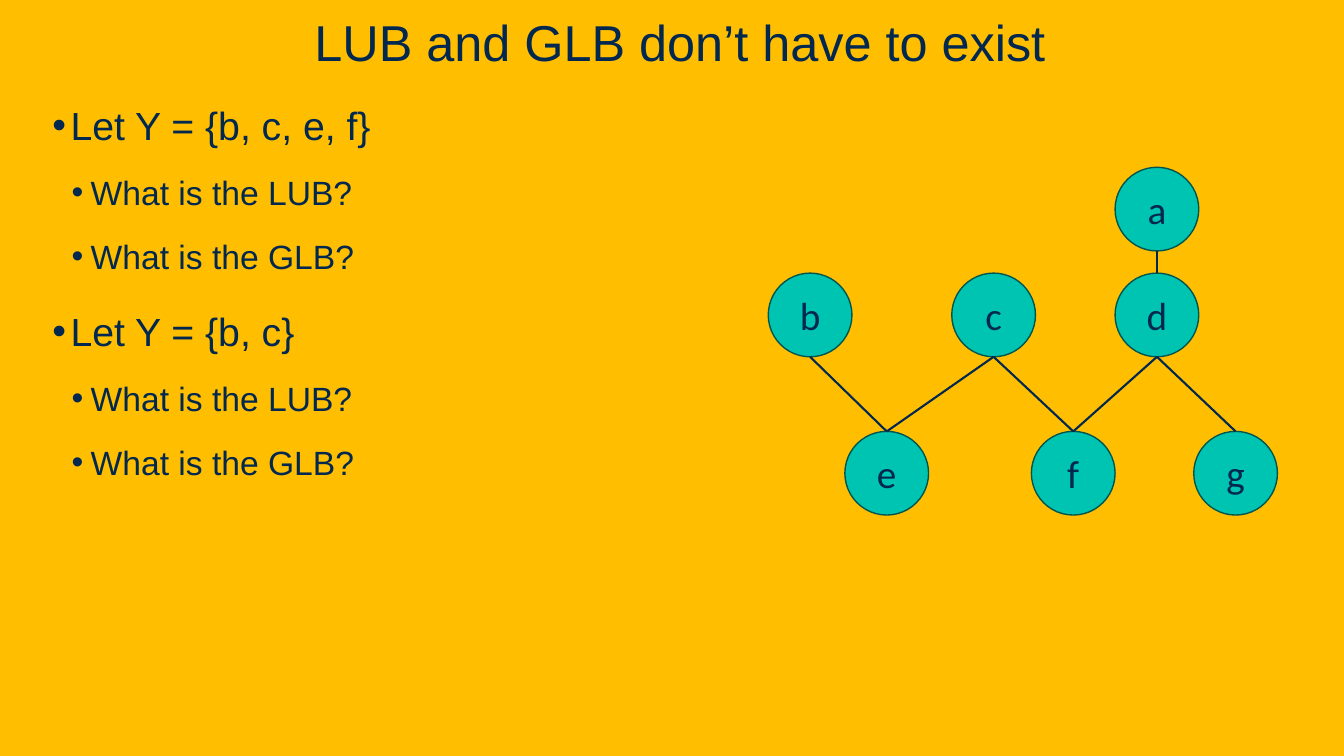
from dataclasses import dataclass

from lxml.etree import SubElement
from pptx import Presentation
from pptx.dml.color import RGBColor
from pptx.enum.shapes import MSO_CONNECTOR, MSO_SHAPE
from pptx.enum.text import MSO_ANCHOR, MSO_AUTO_SIZE, PP_ALIGN
from pptx.oxml.ns import qn
from pptx.util import Inches, Pt

TITLE = "LUB and GLB don’t have to exist "
QUESTIONS = ["What is the LUB?", "What is the GLB?"]
EXERCISES = [("Let Y = {b, c, e, f}", QUESTIONS), ("Let Y = {b, c}", QUESTIONS)]

DIAMETER = 0.83
NODE_ROWS = [
    (1.66, {"a": 11.06}),
    (2.71, {"b": 7.62, "c": 9.44, "d": 11.06}),
    (4.28, {"e": 8.38, "f": 10.23, "g": 11.84}),
]
EDGES = ["da", "eb", "ec", "fc", "fd", "gd"]


@dataclass(frozen=True)
class Theme:
    """Colours, fonts and type sizes of the slide."""

    background: RGBColor = RGBColor(0xFF, 0xBE, 0x00)
    ink: RGBColor = RGBColor(0x02, 0x28, 0x50)
    node: RGBColor = RGBColor(0x00, 0xC4, 0xB2)
    node_line: RGBColor = RGBColor(0x00, 0x56, 0x4E)
    text_font: str = "Arial"
    node_font: str = "Calibri"
    title_size: int = 36
    node_size: int = 28
    level_sizes: tuple = (28, 24)
    level_indents: tuple = ((0.18, -0.18), (0.38, -0.19))
    level_space_before: tuple = (10, 5)


THEME = Theme()


def place(shape, left, top, width, height):
    """Set the position and size of a shape in inches."""
    shape.left, shape.top = Inches(left), Inches(top)
    shape.width, shape.height = Inches(width), Inches(height)


def add_run(paragraph, words, size, font):
    """Add one run of text in the ink colour."""
    run = paragraph.add_run()
    run.text = words
    run.font.size = Pt(size)
    run.font.name = font
    run.font.color.rgb = THEME.ink


def indent(paragraph, margin, first_line):
    """Set the left margin and first-line indent of a paragraph."""
    properties = paragraph._p.get_or_add_pPr()
    properties.set("marL", str(Inches(margin)))
    properties.set("indent", str(Inches(first_line)))
    return properties


def fill_title(title):
    """Write the centred heading."""
    place(title, 0, 0, 13.33, 0.76)
    frame = title.text_frame
    frame.auto_size = MSO_AUTO_SIZE.NONE
    frame.vertical_anchor = MSO_ANCHOR.BOTTOM
    heading = frame.paragraphs[0]
    heading.alignment = PP_ALIGN.CENTER
    heading.space_before = Pt(25)
    indent(heading, 0.3, 0)
    add_run(heading, TITLE, THEME.title_size, THEME.text_font)


def fill_exercises(body):
    """Write the two-level bullet list."""
    place(body, 0.42, 0.86, 6.16, 5.52)
    frame = body.text_frame
    frame.auto_size = MSO_AUTO_SIZE.NONE
    frame.vertical_anchor = MSO_ANCHOR.TOP
    lines = []
    for exercise, questions in EXERCISES:
        lines += [(0, exercise)] + [(1, question) for question in questions]
    for number, (level, words) in enumerate(lines):
        bullet = frame.add_paragraph() if number else frame.paragraphs[0]
        bullet.level = level
        bullet.line_spacing = 1.2
        bullet.space_before = Pt(THEME.level_space_before[level])
        bullet.space_after = Pt(6)
        properties = indent(bullet, *THEME.level_indents[level])
        SubElement(properties, qn("a:buFont")).set("typeface", THEME.text_font)
        SubElement(properties, qn("a:buChar")).set("char", "•")
        add_run(bullet, words, THEME.level_sizes[level], THEME.text_font)


def add_node(diagram, label, left, top):
    """Draw one labelled circle of the Hasse diagram."""
    node = diagram.add_shape(MSO_SHAPE.OVAL, Inches(left), Inches(top),
                             Inches(DIAMETER), Inches(DIAMETER))
    node.shadow.inherit = False
    node.fill.solid()
    node.fill.fore_color.rgb = THEME.node
    node.line.color.rgb = THEME.node_line
    node.line.width = Pt(1)
    frame = node.text_frame
    frame.vertical_anchor = MSO_ANCHOR.MIDDLE
    caption = frame.paragraphs[0]
    caption.alignment = PP_ALIGN.CENTER
    add_run(caption, label, THEME.node_size, THEME.node_font)
    return node


def add_edge(diagram, lower, upper):
    """Join the top of the lower node to the bottom of the upper one."""
    edge = diagram.add_connector(
        MSO_CONNECTOR.STRAIGHT,
        lower.left + lower.width // 2, lower.top,
        upper.left + upper.width // 2, upper.top + upper.height)
    edge.line.color.rgb = THEME.ink
    edge.line.width = Pt(1.5)
    SubElement(edge._element.spPr, qn("a:effectLst"))


def main():
    """Build and save the slide."""
    deck = Presentation()
    deck.slide_width, deck.slide_height = Inches(13.33), Inches(7.5)
    slide = deck.slides.add_slide(deck.slide_layouts[1])
    slide.background.fill.solid()
    slide.background.fill.fore_color.rgb = THEME.background
    fill_title(slide.shapes.title)
    fill_exercises(slide.placeholders[1])
    diagram = slide.shapes.add_group_shape().shapes
    nodes = {label: add_node(diagram, label, left, top)
             for top, row in NODE_ROWS for label, left in row.items()}
    for lower, upper in EDGES:
        add_edge(diagram, nodes[lower], nodes[upper])
    deck.save("out.pptx")


if __name__ == "__main__":
    main()
